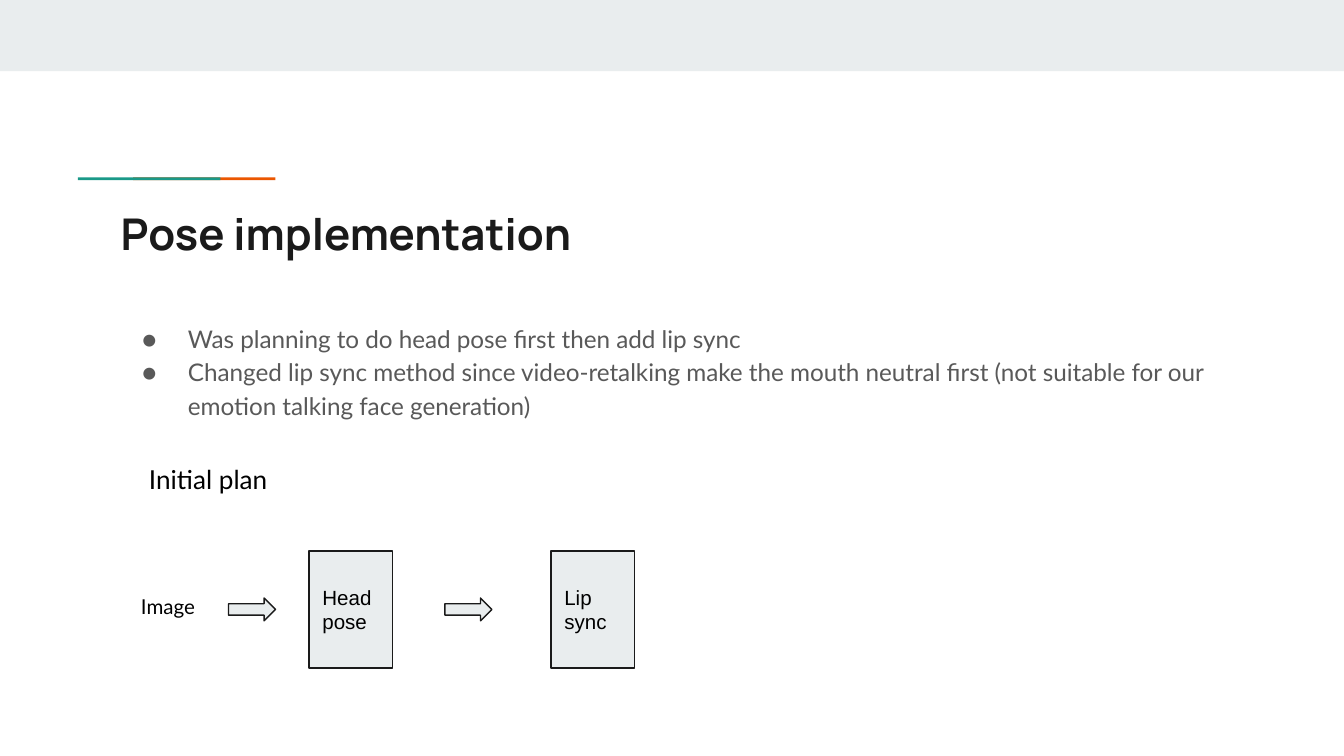
from lxml import etree
from pptx import Presentation
from pptx.dml.color import RGBColor
from pptx.enum.shapes import MSO_SHAPE as Shape
from pptx.enum.text import MSO_ANCHOR as Anchor, PP_ALIGN as Align
from pptx.oxml.ns import qn
from pptx.util import Inches, Pt

MIST = RGBColor(0xE9, 0xED, 0xEE)
ORANGE = RGBColor(0xEB, 0x56, 0x00)
TEAL = RGBColor(0x1A, 0x99, 0x88)
INK = RGBColor(0x1A, 0x1A, 0x1A)
GREY = RGBColor(0x59, 0x59, 0x59)
BLACK = RGBColor(0, 0, 0)

BULLETS = [
    "Was planning to do head pose first then add lip sync",
    "Changed lip sync method since video-retalking make the mouth neutral first "
    "(not suitable for our emotion talking face generation)",
]


def add_block(slide, kind, left, top, width, height, fill, outline=None):
    block = slide.shapes.add_shape(
        kind, Inches(left), Inches(top), Inches(width), Inches(height))
    block.shadow.inherit = False
    block.fill.solid()
    block.fill.fore_color.rgb = fill
    if outline is None:
        block.line.fill.background()
    else:
        block.line.color.rgb = outline
        block.line.width = Pt(0.75)
    return block


def write(shape, lines, font, size, color, bold=False, anchor=Anchor.TOP):
    frame = shape.text_frame
    frame.text = "\n".join(lines)
    frame.word_wrap = True
    frame.vertical_anchor = anchor
    frame.margin_left = frame.margin_right = Inches(0.1)
    frame.margin_top = frame.margin_bottom = Inches(0.1)
    for paragraph in frame.paragraphs:
        paragraph.alignment = Align.LEFT
        for run in paragraph.runs:
            run.font.name = font
            run.font.size = Pt(size)
            run.font.bold = bold
            run.font.color.rgb = color
    return frame


def add_label(slide, left, top, width, height, lines, *style, **options):
    label = slide.shapes.add_textbox(
        Inches(left), Inches(top), Inches(width), Inches(height))
    return write(label, lines, *style, **options)


def add_bullet(paragraph, font, color):
    paragraph.line_spacing = 1.15
    props = paragraph._p.get_or_add_pPr()
    props.set("marL", str(Inches(0.5)))
    props.set("indent", str(Inches(-0.34)))
    bullet_color = etree.SubElement(props, qn("a:buClr"))
    etree.SubElement(bullet_color, qn("a:srgbClr"), val=str(color))
    etree.SubElement(props, qn("a:buFont"), typeface=font)
    etree.SubElement(props, qn("a:buChar"), char="●")


def draw_header(slide, width):
    # Top band
    add_block(slide, Shape.RECTANGLE, 0, 0, width, 0.53, MIST)
    # Accent rule: the teal bar overlaps the orange one
    for left, color in ((0.99, ORANGE), (0.58, TEAL)):
        add_block(slide, Shape.RECTANGLE, left, 1.32, 1.06, 0.02, color)


def draw_text(slide, left, top, width):
    add_label(slide, left, top, width, 0.59, ["Pose implementation"],
              "Manrope", 23.4, INK, bold=True)
    body = add_label(slide, left, top + 0.84, width, 2.47, BULLETS, "Lato", 13, GREY)
    for paragraph in body.paragraphs:
        add_bullet(paragraph, "Lato", GREY)


def draw_plan(slide, left, top):
    add_label(slide, left + 0.06, top, 1.35, 1.05, ["Initial plan"], "Lato", 14, BLACK)
    # Input
    add_label(slide, left, top + 0.98, 0.75, 0.42, ["Image"], "Lato", 11, BLACK)
    # Processing steps
    for index, step in enumerate(("Head pose", "Lip sync")):
        box = add_block(slide, Shape.RECTANGLE, left + 1.35 + 1.8 * index,
                        top + 0.75, 0.62, 0.87, MIST, INK)
        write(box, [step], "Arial", 11, BLACK, anchor=Anchor.MIDDLE)
        # Arrow leading into the step
        add_block(slide, Shape.RIGHT_ARROW, left + 0.75 + 1.61 * index,
                  top + 1.1, 0.35, 0.17, MIST, INK)


def main():
    deck = Presentation()
    # Widescreen 16:9
    deck.slide_width = Inches(10)
    deck.slide_height = Inches(10) * 9 // 16
    slide = deck.slides.add_slide(deck.slide_layouts[6])
    draw_header(slide, 10)
    draw_text(slide, 0.8, 1.44, 8.41)
    draw_plan(slide, 0.95, 3.35)
    deck.save("out.pptx")


if __name__ == "__main__":
    main()
